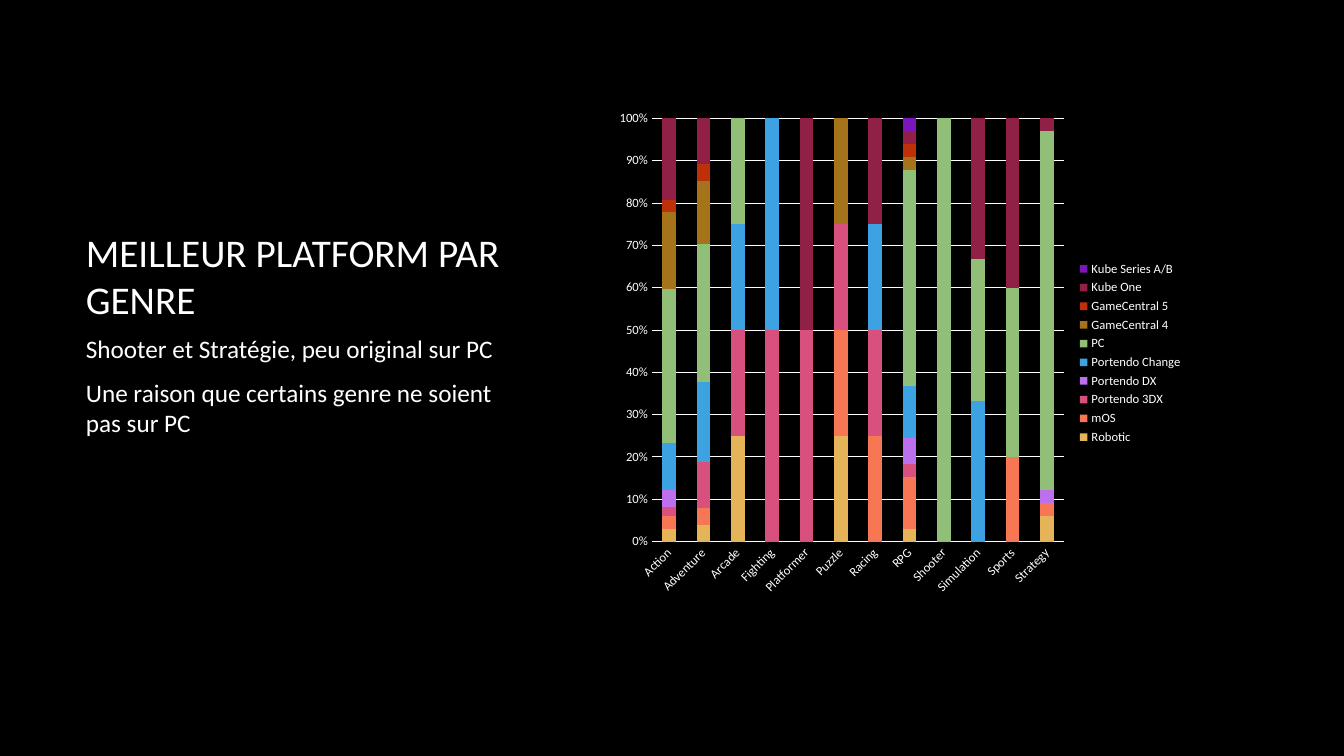
import pptx
import pptx.util
import pptx.chart.data
import pptx.dml.color
import pptx.enum.chart
import pptx.enum.text

TEXTS = [
    ((76, 176, 448, 151), "BOTTOM", "head", 0, ["MEILLEUR PLATFORM PAR GENRE"]),
    ((76, 328, 448, 202), "TOP", "body", 10, [
        "Shooter et Stratégie, peu original sur PC",
        "Une raison que certains genre ne soient pas sur PC",
    ]),
]
PLOT = (608, 101, 585, 504)
GENRES = ["Action", "Adventure", "Arcade", "Fighting", "Platformer", "Puzzle",
          "Racing", "RPG", "Shooter", "Simulation", "Sports", "Strategy"]
SHARES = [
    ("Robotic", "E5B458", (3, 4, 25, 0, 0, 25, 0, 3, 0, 0, 0, 6)),
    ("mOS", "F77754", (3, 4, 0, 0, 0, 25, 25, 12, 0, 0, 20, 3)),
    ("Portendo 3DX", "D8507E", (2, 11, 25, 50, 50, 25, 25, 3, 0, 0, 0, 0)),
    ("Portendo DX", "BC70EE", (4, 0, 0, 0, 0, 0, 0, 6, 0, 0, 0, 3)),
    ("Portendo Change", "3CA2E2", (11, 19, 25, 50, 0, 0, 25, 12, 0, 33, 0, 0)),
    ("PC", "91BF77", (36, 33, 25, 0, 0, 0, 0, 50, 100, 33, 40, 84)),
    ("GameCentral 4", "A5741A", (18, 15, 0, 0, 0, 25, 0, 3, 0, 0, 0, 0)),
    ("GameCentral 5", "BE3009", (3, 4, 0, 0, 0, 0, 0, 3, 0, 0, 0, 0)),
    ("Kube One", "912047", (19, 11, 0, 0, 50, 0, 25, 3, 0, 33, 40, 3)),
    ("Kube Series A/B", "7A16BC", (0, 0, 0, 0, 0, 0, 0, 3, 0, 0, 0, 0)),
]
THEME = {"font": "Calibri", "back": "000000", "ink": "FFFFFF", "line": 0.75,
         "head": 28, "body": 18, "chart": 10, "label": 9}
SCALE = 914400 / 100.8


def emu(*sizes):
    return [round(size * SCALE) for size in sizes]


def tint(code):
    return pptx.dml.color.RGBColor.from_string(code)


def apply(item, **style):
    for key, value in style.items():
        setattr(item, key, value)


def type_set(font, size):
    apply(font, name=THEME["font"], size=pptx.util.Pt(THEME[size]))
    font.color.rgb = tint(THEME["ink"])


def rule(line):
    line.color.rgb = tint(THEME["ink"])
    line.width = pptx.util.Pt(THEME["line"])


def add_text(slide, box, anchor, size, after, lines):
    frame = slide.shapes.add_textbox(*emu(*box)).text_frame
    apply(frame, word_wrap=True, text="\n".join(lines),
          vertical_anchor=getattr(pptx.enum.text.MSO_ANCHOR, anchor))
    for para in frame.paragraphs:
        para.space_after = pptx.util.Pt(after)
        type_set(para.runs[0].font, size)


def add_plot(slide):
    enum = pptx.enum.chart
    data = pptx.chart.data.CategoryChartData()
    data.categories = GENRES
    for name, _, values in SHARES:
        data.add_series(name, values)
    chart = slide.shapes.add_chart(
        enum.XL_CHART_TYPE.COLUMN_STACKED_100, *emu(*PLOT), data).chart
    apply(chart, has_title=False, has_legend=True)
    type_set(chart.font, "chart")
    apply(chart.legend, position=enum.XL_LEGEND_POSITION.RIGHT,
          include_in_layout=False)
    type_set(chart.legend.font, "label")
    apply(chart.plots[0], gap_width=150, overlap=100, vary_by_categories=False)
    for series, (_, code, _) in zip(chart.plots[0].series, SHARES):
        series.format.fill.solid()
        series.format.fill.fore_color.rgb = tint(code)

    genre, share = chart.category_axis, chart.value_axis
    for axis in (genre, share):
        apply(axis, major_tick_mark=enum.XL_TICK_MARK.NONE,
              minor_tick_mark=enum.XL_TICK_MARK.NONE)
        type_set(axis.tick_labels.font, "label")
    rule(genre.format.line)
    genre._element.txPr.bodyPr.set("rot", "-2700000")
    apply(share, has_major_gridlines=True, minimum_scale=0,
          maximum_scale=1, major_unit=0.1)
    apply(share.tick_labels, number_format="0%", number_format_is_linked=False)
    share.format.line.fill.background()
    rule(share.major_gridlines.format.line)


def main():
    deck = pptx.Presentation()
    deck.slide_width, deck.slide_height = emu(1344, 756)
    slide = deck.slides.add_slide(deck.slide_layouts[6])
    slide.background.fill.solid()
    slide.background.fill.fore_color.rgb = tint(THEME["back"])
    for text in TEXTS:
        add_text(slide, *text)
    add_plot(slide)
    deck.save("out.pptx")


if __name__ == "__main__":
    main()
